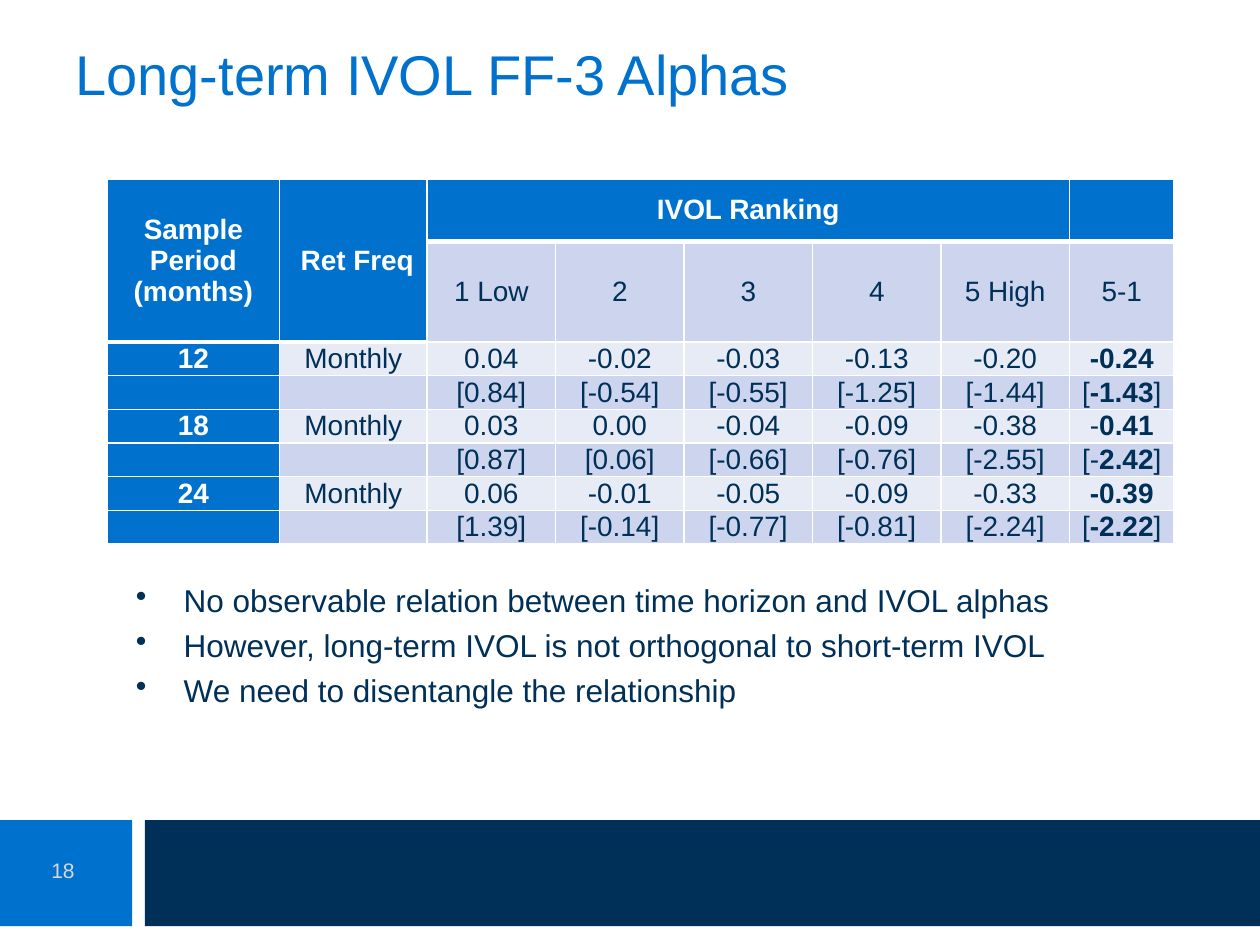
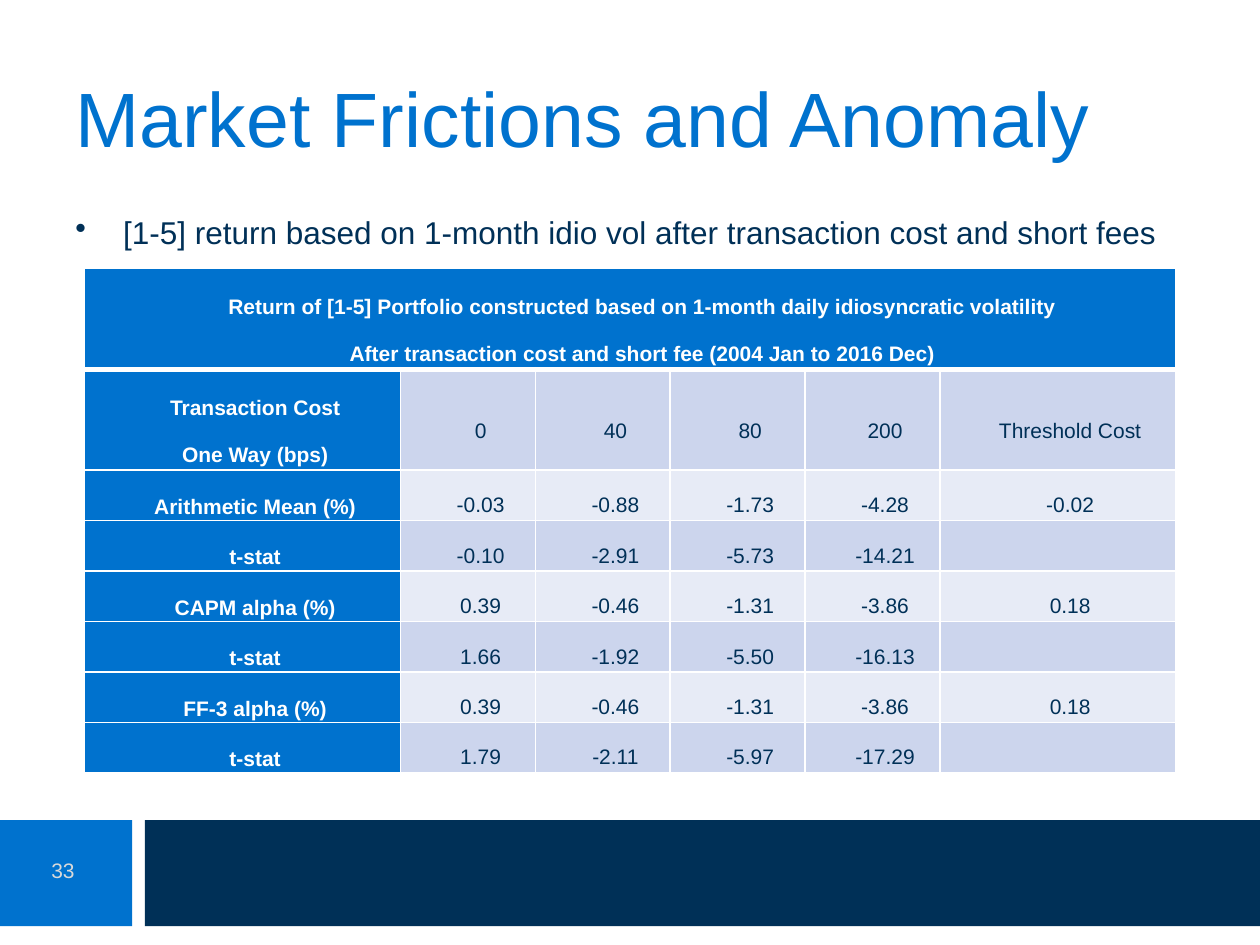
from lxml.etree import SubElement
from pptx import Presentation
from pptx.dml.color import RGBColor
from pptx.enum.shapes import MSO_SHAPE
from pptx.enum.text import MSO_ANCHOR, PP_ALIGN
from pptx.oxml.ns import qn
from pptx.util import Inches, Pt

FONT = "Arial"
BLUE, NAVY, WHITE, GREY = "0072CE", "003057", "FFFFFF", "D9D9D9"
BAND_DARK, BAND_LIGHT = "CCD5ED", "E7EBF6"
COLUMNS, ROWS = 100, 75  # layout grid of a slide
UNIT = Inches(10) // COLUMNS

ALPHAS = [
    ["Sample Period (months)", "\u00a0Ret Freq".replace("\u00a0", " "), "IVOL Ranking", "", "", "", "", ""],
    ["", "", "1 Low", "2", "3", "4", "5 High", "5-1"],
    ["12", "Monthly", "0.04", "-0.02", "-0.03", "-0.13", "-0.20", "*-0.24*"],
    ["", "", "[0.84]", "[-0.54]", "[-0.55]", "[-1.25]", "[-1.44]", "[*-1.43*]"],
    ["18", "Monthly", "0.03", "0.00", "-0.04", "-0.09", "-0.38", "-*0.41*"],
    ["", "", "[0.87]", "[0.06]", "[-0.66]", "[-0.76]", "[-2.55]", "[-*2.42*]"],
    ["24", "Monthly", "0.06", "-0.01", "-0.05", "-0.09", "-0.33", "*-0.39*"],
    ["", "", "[1.39]", "[-0.14]", "[-0.77]", "[-0.81]", "[-2.24]", "[*-2.22*]"],
]
COSTS = [
    ["Return of [1-5] Portfolio constructed based on 1-month daily idiosyncratic volatility\n"
     "After transaction cost and short fee (2004 Jan to 2016 Dec)", "", "", "", "", ""],
    ["Transaction Cost\nOne Way (bps)", "0", "40", "80", "200", "Threshold Cost"],
    ["Arithmetic Mean (%)", "-0.03", "-0.88", "-1.73", "-4.28", "-0.02"],
    ["t-stat", "-0.10", "-2.91", "-5.73", "-14.21", ""],
    ["CAPM alpha (%)", "0.39", "-0.46", "-1.31", "-3.86", "0.18"],
    ["t-stat", "1.66", "-1.92", "-5.50", "-16.13", ""],
    ["FF-3 alpha (%)", "0.39", "-0.46", "-1.31", "-3.86", "0.18"],
    ["t-stat", "1.79", "-2.11", "-5.97", "-17.29", ""],
]


def grid(*cells):
    return [round(n * UNIT) for n in cells]


def rgb(color):
    return RGBColor.from_string(color)


def add_run(p, text, size, color, bold=False):
    r = p.add_run()
    r.text = text
    r.font.name, r.font.size, r.font.bold = FONT, Pt(size), bold
    r.font.color.rgb = rgb(color)


def add_bar(slide, box, color):
    sp = slide.shapes.add_shape(MSO_SHAPE.RECTANGLE, *grid(*box))
    sp.shadow.inherit = False
    sp.fill.solid()
    sp.fill.fore_color.rgb = rgb(color)
    sp.line.fill.background()


def add_text(slide, box, lines, size, color, align=PP_ALIGN.LEFT,
             anchor=MSO_ANCHOR.MIDDLE, bullet=False):
    tf = slide.shapes.add_textbox(*grid(*box)).text_frame
    tf.word_wrap = True
    tf.vertical_anchor = anchor
    for i, line in enumerate(lines):
        p = tf.add_paragraph() if i else tf.paragraphs[0]
        p.alignment = align
        if bullet:
            p.space_before = Pt(size * 0.24)
            pPr = p._p.get_or_add_pPr()
            pPr.set("marL", str(Inches(0.38)))
            pPr.set("indent", str(-Inches(0.38)))
            SubElement(pPr, qn("a:buChar"), char="•")
        add_run(p, line, size, color)


def add_bullets(slide, box, lines):
    add_text(slide, box, lines, 18, NAVY, anchor=MSO_ANCHOR.TOP, bullet=True)


def set_borders(cell, top, bottom):
    tcPr = cell._tc.get_or_add_tcPr()
    for side, width in (("L", 1), ("R", 1), ("T", top), ("B", bottom)):
        ln = SubElement(tcPr, qn(f"a:ln{side}"), w=str(Pt(width)))
        SubElement(SubElement(ln, qn("a:solidFill")), qn("a:srgbClr"), val=WHITE)


def fill_cell(cell, text, size, color, bold, spacing, indent):
    """Write a cell; newlines part paragraphs and asterisks enclose bold text."""
    tf = cell.text_frame
    for i, line in enumerate(text.split("\n")):
        p = tf.add_paragraph() if i else tf.paragraphs[0]
        p.alignment = PP_ALIGN.CENTER
        p.line_spacing = spacing
        p._p.get_or_add_pPr().set("indent", str(Inches(indent)))
        for j, part in enumerate(line.split("*")):
            if part:
                add_run(p, part, size, color, bold or j % 2 == 1)
        if not line:
            SubElement(p._p, qn("a:endParaRPr"), sz=str(size * 100))


def add_data_table(slide, at, widths, heights, data, header_depth, merges,
                   size, spacing=1.0, indent=0, top_from=None):
    """header_depth counts each column's heading rows; numbers sit at the top from row top_from."""
    box = grid(*at, sum(widths), sum(heights))
    table = slide.shapes.add_table(len(heights), len(widths), *box).table
    for column, width in zip(table.columns, grid(*widths)):
        column.width = width
    for row, height in zip(table.rows, grid(*heights)):
        row.height = height
    for r, values in enumerate(data):
        for c, text in enumerate(values):
            cell, depth = table.cell(r, c), header_depth[c]
            heading = c == 0 or r < depth
            cell.margin_left = cell.margin_right = Inches(0.07)
            cell.margin_top = cell.margin_bottom = 0
            at_top = top_from is not None and r >= top_from and c > 0
            cell.vertical_anchor = MSO_ANCHOR.TOP if at_top else MSO_ANCHOR.MIDDLE
            set_borders(cell, 3 if r == depth else 1, 3 if r < depth else 1)
            cell.fill.solid()
            band = BAND_DARK if r % 2 else BAND_LIGHT
            cell.fill.fore_color.rgb = rgb(BLUE if heading else band)
            fill_cell(cell, text, size, WHITE if heading else NAVY, heading, spacing, indent)
    for first, last in merges:
        table.cell(*first).merge(table.cell(*last))


def add_base_slide(prs, title, title_box, title_size, number):
    slide = prs.slides.add_slide(prs.slide_layouts[6])
    add_bar(slide, (-0.1, 65.1, 10.6, 8.4), BLUE)
    add_bar(slide, (11.5, 65.1, 88.7, 8.4), NAVY)
    add_text(slide, title_box, [title], title_size, BLUE)
    add_text(slide, (1.5, 67.1, 7, 4), [number], 12, GREY, PP_ALIGN.CENTER)
    return slide


def add_alphas_slide(prs):
    slide = add_base_slide(prs, "Long-term IVOL FF-3 Alphas", (5, 3, 73.2, 5.6), 32, "18")
    add_data_table(slide, (8.5, 14.2), [13.7, 11.7] + [10.2] * 5 + [8.3],
                   [4.95, 7.4] + [2.47] * 6, ALPHAS, [2, 2] + [1] * 6,
                   [((0, 0), (1, 0)), ((0, 1), (1, 1)), ((0, 2), (0, 6))], 16)
    add_bullets(slide, (9.8, 45.6, 79, 17), [
        "No observable relation between time horizon and IVOL alphas",
        "However, long-term IVOL is not orthogonal to short-term IVOL",
        "We need to disentangle the relationship",
    ])


def add_frictions_slide(prs):
    slide = add_base_slide(prs, "Market Frictions and Anomaly", (5, 3, 90, 12.5), 44, "33")
    add_data_table(slide, (6.7, 21.3), [25.1] + [10.7] * 4 + [18.7],
                   [7.9] * 2 + [3.94] * 6, COSTS, [1] * 6, [((0, 0), (0, 5))],
                   12, spacing=2.0, indent=0.2, top_from=2)
    add_bullets(slide, (5, 16.4, 90, 47.7), [
        "[1-5] return based on 1-month idio vol after transaction cost and short fees",
    ])


def main():
    prs = Presentation()
    prs.slide_width, prs.slide_height = grid(COLUMNS, ROWS)
    add_alphas_slide(prs)
    add_frictions_slide(prs)
    prs.save("out.pptx")


if __name__ == "__main__":
    main()
